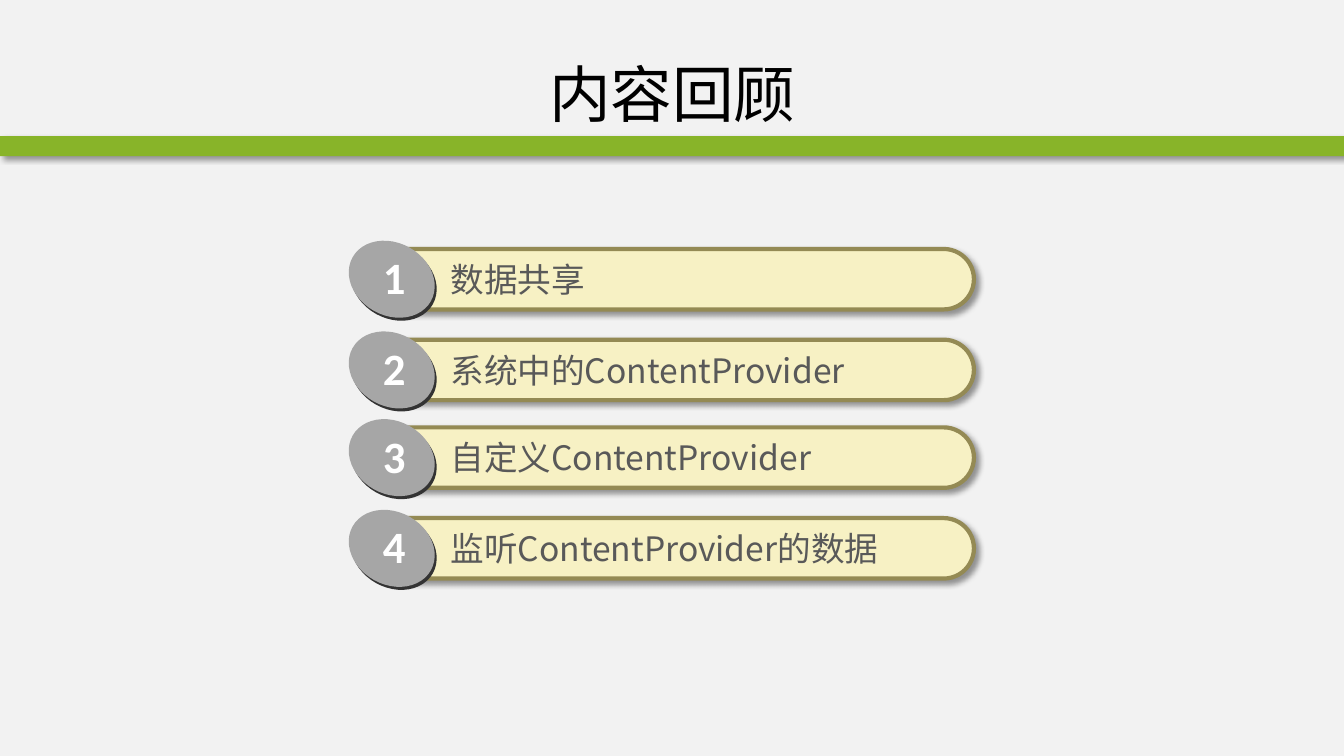
from dataclasses import dataclass
from lxml import etree
from pptx import Presentation
from pptx.dml.color import RGBColor
from pptx.enum import shapes, text
from pptx.oxml import ns
from pptx.util import Inches, Pt


@dataclass(frozen=True)
class Theme:
    background: str = "F2F2F2"
    band: str = "88B429"
    pill: str = "F7F1C4"
    pill_line: str = "948A54"
    badge: str = "A6A6A6"
    badge_edge: str = "333333"
    title: str = "000000"
    label: str = "595959"
    number: str = "FFFFFF"
    body_font: str = "Noto Sans CJK SC"
    number_font: str = "Calibri"
    title_size: int = 44
    label_size: int = 24
    number_size: int = 32


THEME = Theme()
ROWS = [
    (2.47, "数据共享"),
    (3.37, "系统中的ContentProvider"),
    (4.24, "自定义ContentProvider"),
    (5.14, "监听ContentProvider的数据"),
]


def add_shadow(sp):
    effects = sp._element.spPr.find(ns.qn("a:effectLst"))
    shadow = etree.SubElement(
        effects, ns.qn("a:outerShdw"), blurRad=str(Pt(4)), dist=str(Pt(3)),
        dir=str(45 * 60000), algn="tl", rotWithShape="0")
    color = etree.SubElement(shadow, ns.qn("a:srgbClr"), val="000000")
    etree.SubElement(color, ns.qn("a:alpha"), val="40000")


def add_solid(parent, kind, x, y, w, h, fill, line=None, shadow=False):
    sp = parent.add_shape(kind, Inches(x), Inches(y), Inches(w), Inches(h))
    sp.shadow.inherit = False
    sp.fill.solid()
    sp.fill.fore_color.rgb = RGBColor.from_string(fill)
    if line:
        sp.line.color.rgb = RGBColor.from_string(line)
        sp.line.width = Pt(3)
    else:
        sp.line.fill.background()
    if shadow:
        add_shadow(sp)
    return sp


def add_text(parent, x, y, w, h, words, font, size, color, bold=False, wrap=True):
    sp = parent.add_textbox(Inches(x), Inches(y), Inches(w), Inches(h))
    tf = sp.text_frame
    tf.word_wrap = wrap
    p = tf.paragraphs[0]
    p.text = words
    p.font.name = font
    p.font.size = Pt(size)
    p.font.bold = bold
    p.font.color.rgb = RGBColor.from_string(color)
    latin = p._p.pPr.find(".//" + ns.qn("a:latin"))
    latin.addnext(latin.makeelement(ns.qn("a:ea"), {"typeface": font}))
    return tf


def add_header(s, x, y, w):
    add_solid(s.shapes, shapes.MSO_SHAPE.RECTANGLE, x, y + 1.35, w, 0.2,
              THEME.band, shadow=True)
    tf = add_text(s.shapes, x + 0.67, y + 0.3, 12, 1.25, "内容回顾",
                  THEME.body_font, THEME.title_size, THEME.title)
    tf.vertical_anchor = text.MSO_ANCHOR.MIDDLE
    tf.paragraphs[0].alignment = text.PP_ALIGN.CENTER


def add_row(s, x, y, number, label):
    row = s.shapes.add_group_shape().shapes
    pill = add_solid(row, shapes.MSO_SHAPE.ROUNDED_RECTANGLE, x, y, 6, 0.6,
                     THEME.pill, THEME.pill_line, shadow=True)
    pill.adjustments[0] = 0.5
    add_text(row, x + 0.71, y + 0.05, 5.09, 0.5, label,
             THEME.body_font, THEME.label_size, THEME.label)
    for dx, dy, fill in ((-0.2, -0.03, THEME.badge_edge), (-0.22, -0.06, THEME.badge)):
        badge = add_solid(row, shapes.MSO_SHAPE.OVAL, x + dx, y + dy, 0.89, 0.72, fill)
        badge.rotation = 29.3
    add_text(row, x + 0.04, y - 0.04, 0.43, 0.64, str(number), THEME.number_font,
             THEME.number_size, THEME.number, bold=True, wrap=False)


def main():
    prs = Presentation()
    prs.slide_width = Inches(13.33)
    prs.slide_height = Inches(7.5)
    s = prs.slides.add_slide(prs.slide_layouts[6])
    s.background.fill.solid()
    s.background.fill.fore_color.rgb = RGBColor.from_string(THEME.background)
    add_header(s, 0, 0, 13.33)
    for number, (top, label) in enumerate(ROWS, 1):
        add_row(s, 3.66, top, number, label)
    prs.save("out.pptx")


if __name__ == "__main__":
    main()
